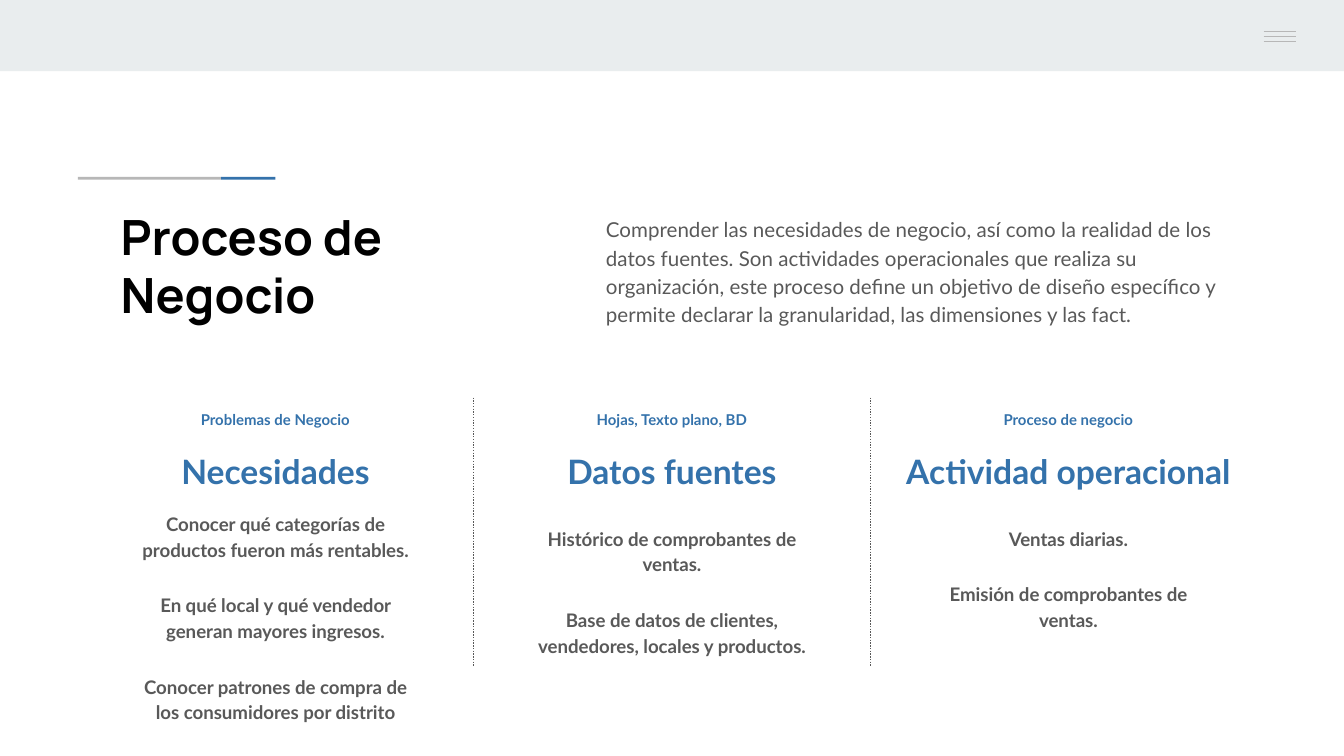
import dataclasses

import pptx
import pptx.dml.color
import pptx.enum.dml
import pptx.enum.shapes
import pptx.enum.text
import pptx.oxml
import pptx.oxml.ns
import pptx.util

Pt = pptx.util.Pt
ALIGN = pptx.enum.text.PP_ALIGN


@dataclasses.dataclass(frozen=True)
class Theme:
    band: str = "E9EDEE"
    gray: str = "B7B7B7"
    accent: str = "3472AB"
    body: str = "595959"
    title: str = "000000"
    title_font: str = "Manrope"
    text_font: str = "Lato"
    title_size: float = 26
    heading_size: float = 18
    intro_size: float = 11
    detail_size: float = 10
    label_size: float = 8
    line_width: float = 0.75
    inset: float = 7.2
    line_spacing: float = 1.15
    paragraph_gap: float = 16


class SlideBuilder:
    def __init__(self, slide, theme):
        self.slide = slide
        self.theme = theme

    def bar(self, left, top, width, height, color):
        shape = self.slide.shapes.add_shape(
            pptx.enum.shapes.MSO_SHAPE.RECTANGLE,
            Pt(left), Pt(top), Pt(width), Pt(height))
        shape.shadow.inherit = False
        shape.fill.solid()
        shape.fill.fore_color.rgb = pptx.dml.color.RGBColor.from_string(color)
        shape.line.fill.background()

    def line(self, x1, y1, x2, y2, color, dash=None):
        connector = self.slide.shapes.add_connector(
            pptx.enum.shapes.MSO_CONNECTOR.STRAIGHT,
            Pt(x1), Pt(y1), Pt(x2), Pt(y2))
        connector.line.width = Pt(self.theme.line_width)
        connector.line.color.rgb = pptx.dml.color.RGBColor.from_string(color)
        if dash is not None:
            connector.line.dash_style = dash
        properties = connector.element.find(pptx.oxml.ns.qn("p:spPr"))
        properties.append(pptx.oxml.parse_xml(
            f'<a:effectLst {pptx.oxml.ns.nsdecls("a")}/>'))

    def text(self, left, top, width, height, paragraphs, size, color,
             font=None, bold=True, align=ALIGN.CENTER, spacing=None):
        shape = self.slide.shapes.add_textbox(
            Pt(left), Pt(top), Pt(width), Pt(height))
        frame = shape.text_frame
        frame.word_wrap = True
        frame.margin_left = frame.margin_right = Pt(self.theme.inset)
        frame.margin_top = frame.margin_bottom = Pt(self.theme.inset)
        frame.text = "\n".join(paragraphs)
        for index, paragraph in enumerate(frame.paragraphs):
            paragraph.alignment = align
            paragraph.line_spacing = spacing or self.theme.line_spacing
            if index:
                paragraph.space_before = Pt(self.theme.paragraph_gap)
            for run in paragraph.runs:
                run.font.name = font or self.theme.text_font
                run.font.size = Pt(size)
                run.font.bold = bold
                run.font.color.rgb = pptx.dml.color.RGBColor.from_string(color)

    def column(self, center, label, heading, details, details_top):
        theme = self.theme
        rows = (
            (213, 139, 18, [label], theme.label_size, theme.accent),
            (231, 196, 75, [heading], theme.heading_size, theme.accent),
            (details_top, 163, 405 - details_top, details,
             theme.detail_size, theme.body),
        )
        for top, width, height, paragraphs, size, color in rows:
            self.text(center - width / 2, top, width, height,
                      paragraphs, size, color)


def main():
    presentation = pptx.Presentation()
    presentation.slide_width = Pt(720)
    presentation.slide_height = Pt(405)
    slide = presentation.slides.add_slide(presentation.slide_layouts[6])
    theme = Theme()
    builder = SlideBuilder(slide, theme)

    # Top band with menu icon
    builder.bar(0, 0, 720, 38.2, theme.band)
    for index in range(3):
        y = 17 + 2.6 * index
        builder.line(677, y, 694.3, y, theme.gray)

    # Two-colour rule above the title
    builder.bar(41.8, 94.8, 76.7, 1.5, theme.gray)
    builder.bar(118.5, 94.8, 29, 1.5, theme.accent)

    # Title and introduction
    builder.text(57.6, 103.7, 220.3, 81.4, ["Proceso de Negocio"],
                 theme.title_size, theme.title, font=theme.title_font,
                 align=ALIGN.LEFT, spacing=1.0)
    builder.text(317.5, 107.3, 344.2, 70.6, [
        "Comprender las necesidades de negocio, así como la realidad de los "
        "datos fuentes. Son actividades operacionales que realiza su "
        "organización, este proceso define un objetivo de diseño específico y "
        "permite declarar la granularidad, las dimensiones y las fact."],
        theme.intro_size, theme.body, bold=False, align=ALIGN.LEFT)

    # Three columns with dotted dividers between them
    columns = [
        ("Problemas de Negocio", "Necesidades", [
            "Conocer qué categorías de productos fueron más rentables.",
            "En qué local y qué vendedor generan mayores ingresos.",
            "Conocer patrones de compra de los consumidores por distrito",
        ], 265.7),
        ("Hojas, Texto plano, BD", "Datos fuentes", [
            "Histórico de comprobantes de ventas.",
            "Base de datos de clientes, vendedores, locales y productos.",
        ], 273.6),
        ("Proceso de negocio", "Actividad operacional", [
            "Ventas diarias.",
            "Emisión de comprobantes de ventas.",
        ], 273.6),
    ]
    first_center, pitch = 147.6, 212.4
    for index, column in enumerate(columns):
        center = first_center + pitch * index
        builder.column(center, *column)
        if index < len(columns) - 1:
            divider = center + pitch / 2
            builder.line(divider, 213, divider, 357, theme.body,
                         pptx.enum.dml.MSO_LINE.ROUND_DOT)

    presentation.save("out.pptx")


if __name__ == "__main__":
    main()
